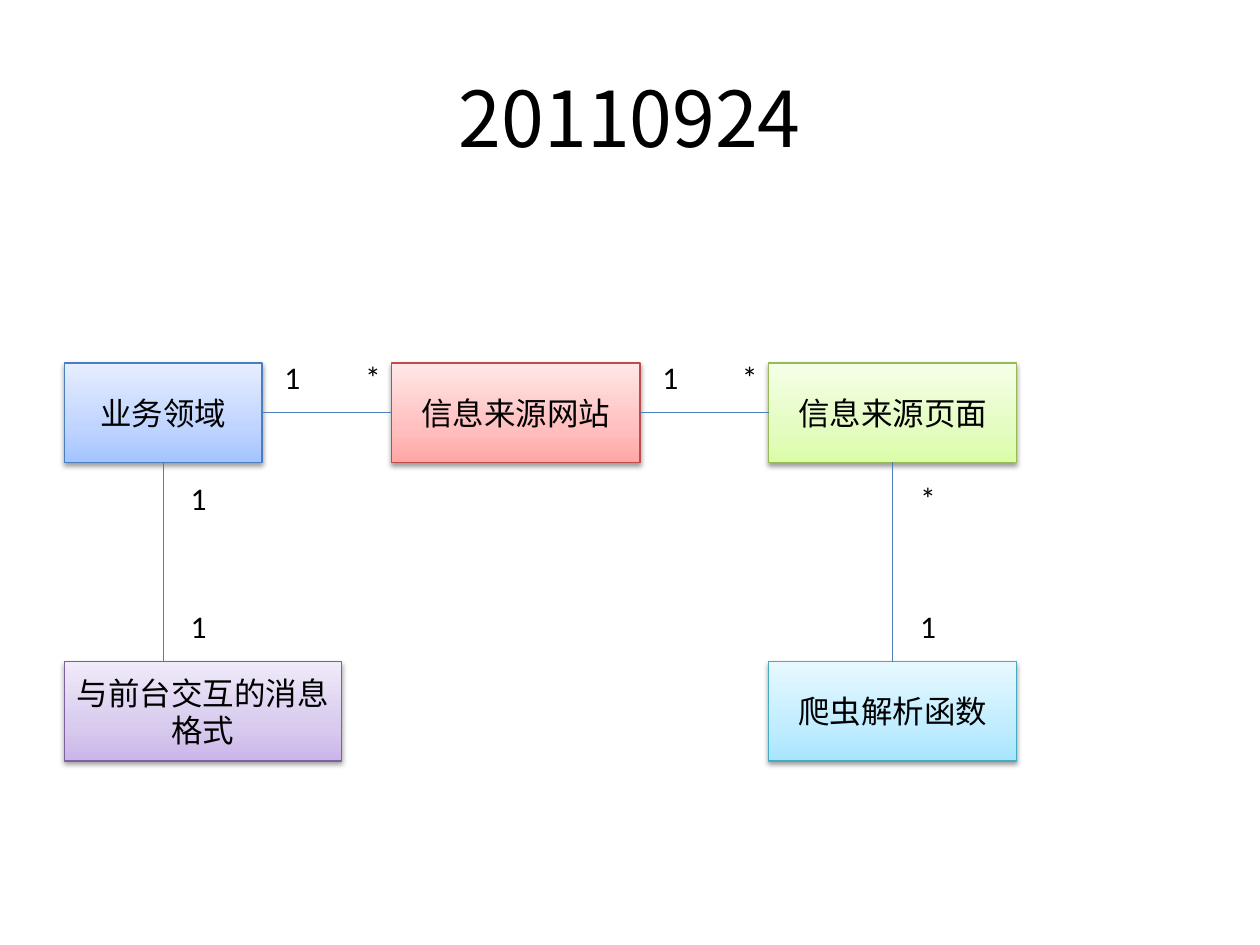
"""Build a slide with a class diagram of crawler entities."""
from copy import deepcopy

from lxml import etree
from pptx import Presentation
from pptx.dml.color import RGBColor
from pptx.enum.shapes import MSO_CONNECTOR, MSO_SHAPE
from pptx.enum.text import MSO_ANCHOR, PP_ALIGN
from pptx.oxml import parse_xml
from pptx.oxml.ns import nsdecls, qn
from pptx.util import Inches, Pt

BLACK = RGBColor(0, 0, 0)
LINK_BLUE = RGBColor(0x4B, 0x7E, 0xBC)
CJK, LATIN = "Noto Sans CJK SC", "Calibri"
TITLE = "20110924"
BOX_HEIGHT = 0.79
UPPER, LOWER = 2.88, 5.25
STOPS = (0, 0.35, 1)
TOP, LEFT, BOTTOM, RIGHT = range(4)

BOXES = {
    "domain": ("业务领域", 0.51, UPPER, 1.57, "4B7EBC", ("A4C4FF", "BFD4FF", "E6EEFF")),
    "site": ("信息来源网站", 3.11, UPPER, 1.97, "BF4C48", ("FFA6A5", "FFC0BF", "FFE7E7")),
    "page": ("信息来源页面", 6.1, UPPER, 1.97, "98B955", ("DAFDA7", "E4FCC2", "F5FFE7")),
    "parser": ("爬虫解析函数", 6.1, LOWER, 1.97, "46AAC5", ("A7E6FF", "C1EDFF", "E7F8FF")),
    "message": ("与前台交互的消息格式", 0.51, LOWER, 2.2, "7D60A0", ("C9B5E8", "D8CBEE", "F0EAF9")),
}
ACROSS = [("domain", "site", "1", "*"), ("site", "page", "1", "*")]
DOWN = [("page", "parser", "*", "1"), ("domain", "message", "1", "1")]

SHADOW = (
    f'<a:outerShdw {nsdecls("a")} blurRad="{Pt(3.1)}" dist="{Pt(1.6)}" dir="5400000" rotWithShape="0">'
    '<a:srgbClr val="000000"><a:alpha val="38000"/></a:srgbClr></a:outerShdw>'
)

prs = Presentation()
prs.slide_width, prs.slide_height = Inches(10), Inches(7.5)
slide = prs.slides.add_slide(prs.slide_layouts[6])


def write(shape, text, size, font, align, anchor):
    frame = shape.text_frame
    frame.word_wrap = True
    frame.vertical_anchor = anchor
    paragraph = frame.paragraphs[0]
    paragraph.alignment = align
    run = paragraph.add_run()
    run.text = text
    run.font.size = Pt(size)
    run.font.name = font
    run.font.color.rgb = BLACK
    etree.SubElement(run.font._element, qn("a:ea")).set("typeface", font)


def add_text(text, left, top, width, height, *style):
    box = slide.shapes.add_textbox(*map(Inches, (left, top, width, height)))
    write(box, text, *style)


def add_multiplicity(text, left, top):
    add_text(text, left, top, 0.24, 0.4, 18, LATIN, PP_ALIGN.LEFT, MSO_ANCHOR.TOP)


def fill_gradient(shape, colors):
    shape.fill.gradient()
    shape.fill.gradient_angle = 90
    stops = shape._element.spPr.find(".//" + qn("a:gsLst"))
    stops.append(deepcopy(stops[-1]))
    for stop, position, color in zip(shape.fill.gradient_stops, STOPS, colors):
        stop.position = position
        stop.color.rgb = RGBColor.from_string(color)


def add_box(text, left, top, width, line, colors):
    shape = slide.shapes.add_shape(MSO_SHAPE.RECTANGLE, *map(Inches, (left, top, width, BOX_HEIGHT)))
    fill_gradient(shape, colors)
    shape.line.color.rgb = RGBColor.from_string(line)
    shape.line.width = Pt(0.75)
    shape.shadow.inherit = False
    shape._element.spPr.find(qn("a:effectLst")).append(parse_xml(SHADOW))
    write(shape, text, 18, CJK, PP_ALIGN.CENTER, MSO_ANCHOR.MIDDLE)
    return shape


def add_link(x1, y1, x2, y2, start, site):
    link = slide.shapes.add_connector(MSO_CONNECTOR.STRAIGHT, *map(Inches, (x1, y1, x2, y2)))
    link.begin_connect(start, site)
    link.line.color.rgb = LINK_BLUE
    link.line.width = Pt(0.75)
    etree.SubElement(link._element.spPr, qn("a:effectLst"))
    return link


add_text(TITLE, 0.5, 0.3, 9, 1.25, 44, CJK, PP_ALIGN.CENTER, MSO_ANCHOR.MIDDLE)
shapes = {name: add_box(*spec) for name, spec in BOXES.items()}

for first, second, near, far in ACROSS:
    _, left, top, width, *_ = BOXES[first]
    start, end = left + width, BOXES[second][1]
    middle = top + BOX_HEIGHT / 2
    link = add_link(start, middle, end, middle, shapes[first], RIGHT)
    link.end_connect(shapes[second], LEFT)
    add_multiplicity(near, start + 0.08, top - 0.09)
    add_multiplicity(far, end - 0.31, top - 0.09)

for first, second, near, far in DOWN:
    _, left, top, width, *_ = BOXES[first]
    center, start, end = left + width / 2, top + BOX_HEIGHT, BOXES[second][2]
    add_link(center, start, center, end, shapes[first], BOTTOM)
    add_multiplicity(near, center + 0.12, start + 0.08)
    add_multiplicity(far, center + 0.12, end - 0.48)

prs.save("out.pptx")
